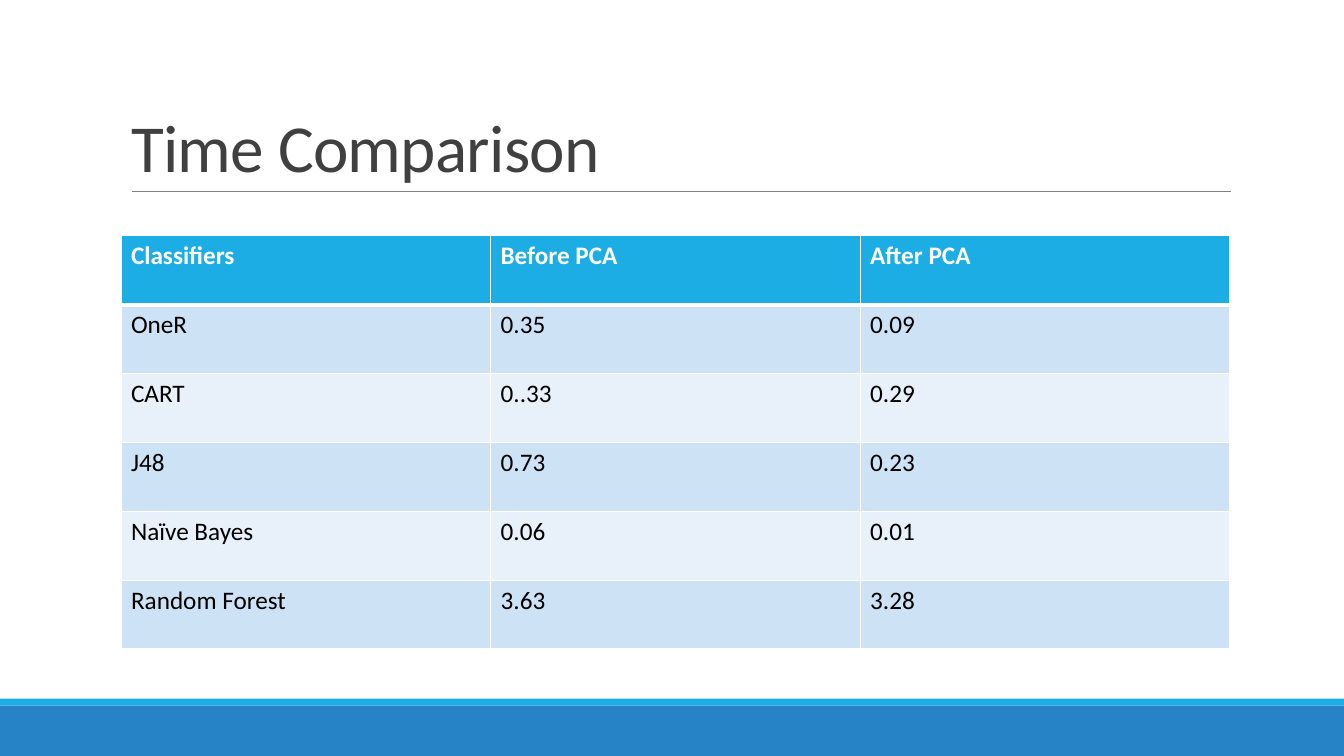
from lxml.etree import SubElement as Sub
from pptx import Presentation as Deck
from pptx.dml.color import RGBColor as Rgb
from pptx.enum.shapes import MSO_CONNECTOR as Link, MSO_SHAPE as Form
from pptx.enum.text import MSO_ANCHOR as Anchor, MSO_AUTO_SIZE as Fit, PP_ALIGN as Align
from pptx.oxml.ns import qn
from pptx.util import Inches, Pt

FONT = "Calibri"
WHITE, BLACK, DARK, GRAY = "FFFFFF", "000000", "404040", "808080"
CYAN, BLUE, BANDS = "1CADE4", "2683C6", ("E8F1FA", "CDE3F5")
ROWS = [
    ("Classifiers", "Before PCA", "After PCA"),
    ("OneR", "0.35", "0.09"),
    ("CART", "0..33", "0.29"),
    ("J48", "0.73", "0.23"),
    ("Naïve Bayes", "0.06", "0.01"),
    ("Random Forest", "3.63", "3.28"),
]


def color(code):
    return Rgb.from_string(code)


def paint(fill, code):
    fill.solid()
    fill.fore_color.rgb = color(code)


class Page:
    """Draws styled elements on one slide, placed in percent of its size."""

    def __init__(self, deck):
        self.wide, self.high = deck.slide_width, deck.slide_height
        self.slide = deck.slides.add_slide(deck.slide_layouts[5])
        self.shapes = self.slide.shapes
        paint(self.slide.background.fill, WHITE)

    def box(self, x, y, w, h):
        return [round(part * size / 100) for part, size in
                zip((x, y, w, h), (self.wide, self.high) * 2)]

    def text(self, para, words, size, code, bold=False):
        run = para.add_run()
        run.text = words
        font = run.font
        font.name, font.size, font.bold = FONT, Pt(size), bold
        font.color.rgb = color(code)
        return run

    def title(self, words, *area):
        head = self.shapes.title
        head.left, head.top, head.width, head.height = self.box(*area)
        frame = head.text_frame
        frame.word_wrap, frame.auto_size = True, Fit.NONE
        frame.vertical_anchor = Anchor.BOTTOM
        para = frame.paragraphs[0]
        para.alignment, para.line_spacing = Align.LEFT, 0.85
        run = self.text(para, words, 48, DARK)
        run._r.get_or_add_rPr().set("spc", "-50")

    def bar(self, code, *area):
        bar = self.shapes.add_shape(Form.RECTANGLE, *self.box(*area))
        bar.shadow.inherit = False
        paint(bar.fill, code)
        bar.line.fill.background()

    def rule(self, code, size, *ends):
        rule = self.shapes.add_connector(Link.STRAIGHT, *self.box(*ends))
        rule.line.color.rgb, rule.line.width = color(code), Pt(size)
        Sub(rule._element.spPr, qn("a:effectLst"))

    def edge(self, cell, row):
        props = cell._tc.get_or_add_tcPr()
        sizes = {"L": 1, "R": 1, "T": 3 if row == 1 else 1, "B": 1 if row else 3}
        for side, size in sizes.items():
            line = Sub(props, qn(f"a:ln{side}"), w=str(Pt(size)))
            Sub(Sub(line, qn("a:solidFill")), qn("a:srgbClr"), val=WHITE)

    def table(self, rows, *area):
        place = self.box(*area)
        grid = self.shapes.add_table(len(rows), len(rows[0]), *place).table
        for line in grid.rows:
            line.height = place[3] // len(rows)
        for r, row in enumerate(rows):
            for c, words in enumerate(row):
                cell = grid.cell(r, c)
                self.edge(cell, r)
                paint(cell.fill, BANDS[r % 2] if r else CYAN)
                para = cell.text_frame.paragraphs[0]
                self.text(para, words, 18, BLACK if r else WHITE, not r)


def main():
    deck = Deck()
    deck.slide_width, deck.slide_height = Inches(13.33), Inches(7.5)
    page = Page(deck)
    page.bar(BLUE, 0, 93.33, 100, 6.67)
    page.bar(CYAN, 0, 92.4, 100, 0.93)
    page.rule(GRAY, 0.5, 9.83, 25.33, 91.6, 25.33)
    page.title("Time Comparison", 9, 4.13, 82.5, 21.2)
    page.table(ROWS, 9, 31.2, 82.5, 54.67)
    deck.save("out.pptx")


if __name__ == "__main__":
    main()
